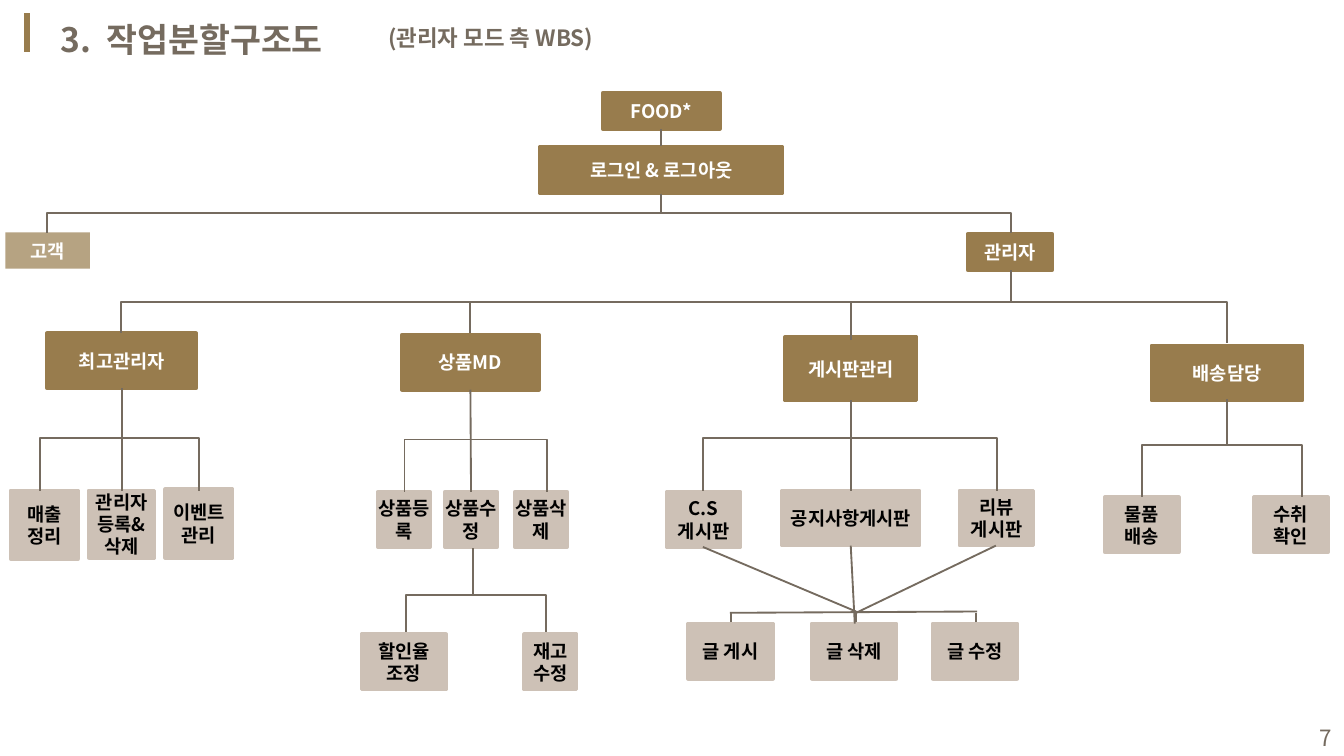
"""Builds the work breakdown structure slide for the administrator mode."""
from lxml import etree
from pptx import Presentation
from pptx.dml.color import RGBColor
from pptx.enum.shapes import MSO_CONNECTOR, MSO_SHAPE
from pptx.enum.text import MSO_ANCHOR, PP_ALIGN
from pptx.oxml.ns import qn
from pptx.util import Inches, Pt

RECT = MSO_SHAPE.RECTANGLE
STRAIGHT, ELBOW = MSO_CONNECTOR.STRAIGHT, MSO_CONNECTOR.ELBOW
TOP, MIDDLE = MSO_ANCHOR.TOP, MSO_ANCHOR.MIDDLE
LEFT, CENTER, RIGHT = PP_ALIGN.LEFT, PP_ALIGN.CENTER, PP_ALIGN.RIGHT
FONT = "Noto Sans CJK KR"
COLORS = {"brown": "987C4D", "sand": "CDC1B6", "gray": "756B5F",
          "white": "FFFFFF", "black": "000000"}
CELL = Inches(0.1)

ROLES = [
    ("FOOD*", 44.85, 6.9, 8.7, 2.7),
    ("로그인 & 로그아웃", 40.2, 10.9, 18, 3.5),
    ("관리자", 72, 17.4, 6.3, 2.7),
    ("최고관리자", 3.5, 24.8, 11.1, 4.1),
    ("상품MD", 29.9, 24.9, 10.2, 4.1),
    ("게시판관리", 58.4, 25.1, 9.8, 4.7),
    ("배송담당", 85.7, 25.7, 11.2, 4.1),
]
TASKS = [
    ("매출\n정리", 0.8, 36.5, 5, 5.1),
    ("관리자등록&\n삭제", 6.6, 36.5, 4.9, 5),
    ("이벤트관리", 12.3, 36.4, 5, 5.1),
    ("상품등록", 28.1, 36.6, 3.9, 4.1),
    ("상품수정", 33.1, 36.6, 3.9, 4.1),
    ("상품삭제", 38.3, 36.6, 3.9, 4.1),
    ("C.S\n게시판", 49.6, 36.6, 5.5, 4.1),
    ("공지사항게시판", 58.2, 36.5, 10.2, 4.1),
    ("리뷰\n게시판", 71.4, 36.5, 5.5, 4.1),
    ("물품\n배송", 82.2, 37, 5.5, 4.1),
    ("수취\n확인", 93.3, 37, 5.5, 4.1),
    ("할인율\n조정", 26.9, 47.2, 6.3, 4.1),
    ("재고 수정", 39, 47.2, 3.9, 4.1),
    ("글 게시", 51.2, 46.4, 6.3, 4.1),
    ("글 삭제", 60.4, 46.4, 6.3, 4.1),
    ("글 수정", 69.4, 46.4, 6.3, 4.1),
]
JOINS = [("FOOD*", "로그인 & 로그아웃"), ("최고관리자", "관리자등록&\n삭제"),
         ("상품MD", "상품수정"), ("게시판관리", "공지사항게시판")]
TREES = [(49.2, 14.4, 17.3, (3.5, 75.2)), (75.2, 20.1, 24.8, (9, 91.3))]
FORKS = [(9, 32.6, 36.5, (3, 14.8)), (35, 32.7, 36.6, (30.1, 40.7)),
         (63.3, 32.6, 36.5, (52.3, 74.2)), (91.3, 33.1, 37, (85, 96.9)),
         (35.2, 44.3, 47, (30.2, 40.6))]
LINES = [
    (35, 24.8, 35, 22.5), (63.3, 25.3, 63.3, 22.4), (91.3, 25.5, 91.3, 23.7),
    (91.3, 29.7, 91.3, 33.1), (35.2, 40.8, 35.2, 44.3),
    (54.4, 46.3, 54.4, 45.6), (63.7, 46.3, 63.7, 45.5), (72.6, 46.3, 72.6, 45.6),
    (54.3, 45.6, 72.7, 45.5), (52.3, 40.7, 63.7, 45.5),
    (74.1, 40.6, 63.7, 45.6), (63.3, 40.6, 63.6, 46.4),
]


def cells(*values):
    """Turn grid columns and rows into lengths."""
    return [round(v * CELL) for v in values]


def rgb(name):
    """Look up a colour by name."""
    return RGBColor.from_string(COLORS[name])


def write(tf, text, size, color, align, anchor, bold=True):
    """Fill a text frame and format its paragraphs."""
    tf.word_wrap = True
    tf.vertical_anchor = anchor
    tf.text = text
    for p in tf.paragraphs:
        p.alignment = align
        p.font.size, p.font.bold, p.font.name = Pt(size), bold, FONT
        p.font.color.rgb = rgb(color)
        etree.SubElement(p.font._rPr, qn("a:ea"), typeface=FONT)


def add_title(s, text):
    """Move and format the title placeholder."""
    title = s.shapes.title
    title.left, title.top, title.width, title.height = cells(3.5, 0.9, 32.1, 4)
    write(title.text_frame, text, 18, "gray", LEFT, TOP)


def add_text(s, text, area, align, anchor, bold=True):
    """Add a free text box."""
    tf = s.shapes.add_textbox(*cells(*area)).text_frame
    write(tf, text, 12, "gray", align, anchor, bold)


def add_box(s, text, area, fill, color, alpha=None):
    """Add a labelled rectangle, without outline when it is see-through."""
    sp = s.shapes.add_shape(RECT, *cells(*area))
    sp.shadow.inherit = False
    sp.fill.solid()
    sp.fill.fore_color.rgb = rgb(fill)
    if alpha:
        clr = sp.element.spPr.find(".//" + qn("a:srgbClr"))
        etree.SubElement(clr, qn("a:alpha"), val=str(alpha * 1000))
        sp.line.fill.background()
    else:
        sp.line.color.rgb = rgb(fill)
        sp.line.width = Pt(2)
    tf = sp.text_frame
    tf.margin_left = tf.margin_top = tf.margin_right = tf.margin_bottom = 0
    write(tf, text, 10, color, CENTER, MIDDLE)
    return sp


def add_line(s, ends, kind=STRAIGHT, color="gray", width=1):
    """Add a connector between two grid points."""
    c = s.shapes.add_connector(kind, *cells(*ends))
    c.line.color.rgb = rgb(color)
    c.line.width = Pt(width)
    etree.SubElement(c.element.spPr, qn("a:effectLst"))
    return c


def add_tree(s, x, top, bottom, children):
    """Drop from a parent, run sideways halfway, and drop to each child."""
    drop = bottom - top
    for child in children:
        span = abs(child - x)
        left, mid = (x + child - drop) / 2, (top + bottom) / 2
        c = add_line(s, (left, mid - span / 2, left + drop, mid + span / 2), ELBOW)
        xfrm = c.element.spPr.find(qn("a:xfrm"))
        xfrm.set("rot", "5400000" if child < x else "16200000")
        if child > x:
            xfrm.set("flipH", "1")


def add_fork(s, x, top, bottom, children):
    """Run sideways from a stem and drop to each child."""
    for child in children:
        c = add_line(s, (min(x, child), top, max(x, child), bottom), ELBOW)
        c.element.spPr.find(qn("a:prstGeom")).set("prst", "bentConnector2")
        if child < x:
            xfrm = c.element.spPr.find(qn("a:xfrm"))
            xfrm.set("rot", "10800000")
            xfrm.set("flipV", "1")


def main():
    """Build and save the slide."""
    prs = Presentation()
    prs.slide_width = Inches(10)
    prs.slide_height = prs.slide_width * 9 // 16
    s = prs.slides.add_slide(prs.slide_layouts[5])
    add_line(s, (2, 1, 2, 3.9), color="brown", width=3)
    add_title(s, "3.  작업분할구조도")
    add_text(s, "(관리자 모드 측 WBS)", (27.9, 1.3, 17.5, 3), LEFT, TOP)
    add_text(s, "7", (76.8, 53.4, 23.3, 3), RIGHT, MIDDLE, False)

    add_box(s, "고객", (0.4, 17.3, 6.3, 2.7), "brown", "white", 70)
    boxes = {}
    for items, fill, color in ((ROLES, "brown", "white"), (TASKS, "sand", "black")):
        for text, *area in items:
            boxes[text] = add_box(s, text, area, fill, color)

    for tree in TREES:
        add_tree(s, *tree)
    for fork in FORKS:
        add_fork(s, *fork)
    for ends in LINES:
        add_line(s, ends)
    for parent, child in JOINS:
        c = add_line(s, (0, 0, 1, 1))
        c.begin_connect(boxes[parent], 2)
        c.end_connect(boxes[child], 0)
    prs.save("out.pptx")


if __name__ == "__main__":
    main()
